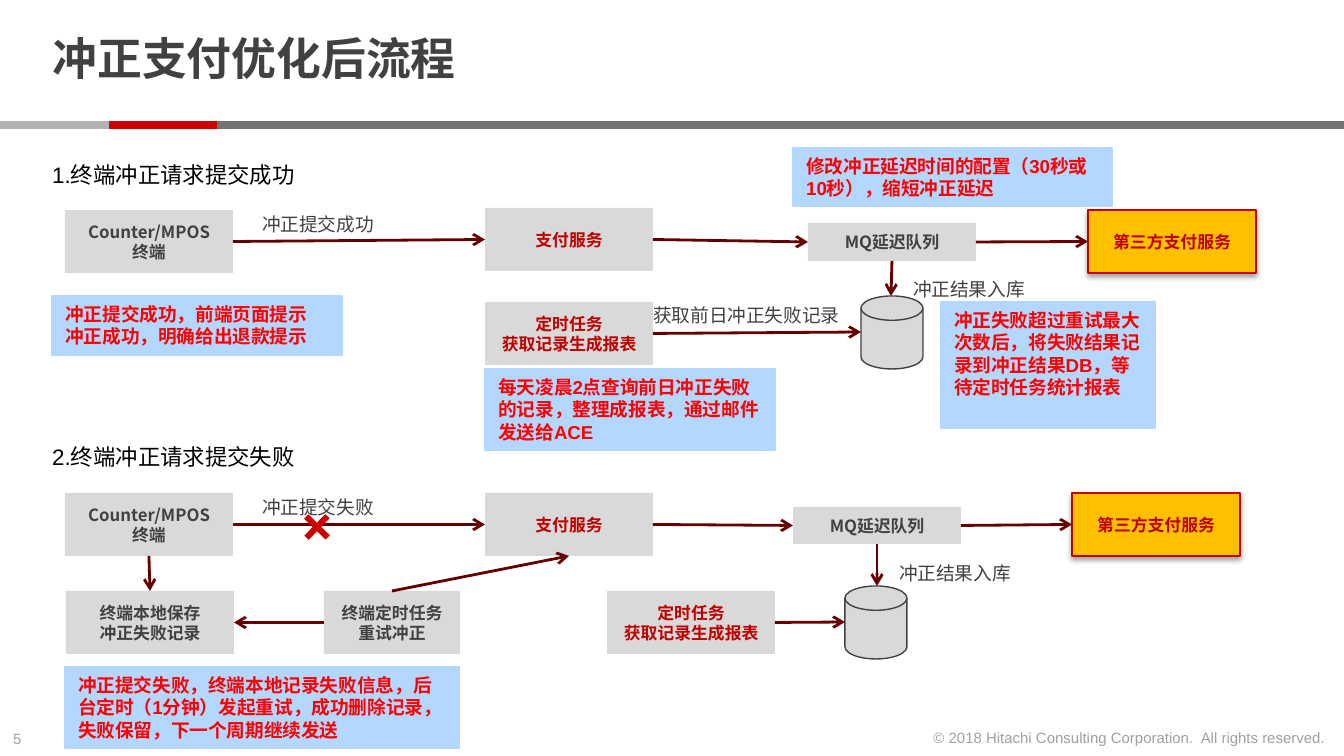
from lxml import etree
from pptx import Presentation
from pptx.dml.color import RGBColor
from pptx.enum.shapes import MSO_CONNECTOR, MSO_SHAPE
from pptx.enum.text import MSO_ANCHOR, MSO_AUTO_SIZE, PP_ALIGN
from pptx.oxml import parse_xml
from pptx.oxml.ns import nsdecls, qn
from pptx.util import Pt

RECT, DISK, CROSS = MSO_SHAPE.RECTANGLE, MSO_SHAPE.FLOWCHART_MAGNETIC_DISK, MSO_SHAPE.CROSS
STRAIGHT = MSO_CONNECTOR.STRAIGHT
LEFT, CENTER, RIGHT = PP_ALIGN.LEFT, PP_ALIGN.CENTER, PP_ALIGN.RIGHT
TOP, MIDDLE = MSO_ANCHOR.TOP, MSO_ANCHOR.MIDDLE
N, W, S, E = range(4)

THEME = {
    "font": "Arial", "cjk": "Noto Sans CJK SC",
    "ink": "414141", "black": "000000", "muted": "A0A0A0", "accent": "C00000",
    "alert": "FF0000", "red": "CC0000", "edge": "C80000", "arrow": "660000",
    "box": "D9D9D9", "gold": "FFC000", "note": "B3D7FF",
    "bar": "737373", "bar_light": "B3B3B3",
    "title_pt": 24, "heading_pt": 12, "body_pt": 10, "box_pt": 9, "footer_pt": 8,
}

TITLE = "冲正支付优化后流程"
BARS = [(217, 1127, "bar"), (109, 108, "red"), (0, 109, "bar_light")]
HEADINGS = [(141, "1.终端冲正请求提交成功"), (423, "2.终端冲正请求提交失败")]

BOX_W, BOX_H = 168, 63
TERMINAL = ["Counter/MPOS 终端"]
PAYMENT = ["支付服务"]
QUEUE = ["MQ延迟队列"]
PARTNER = ["第三方支付服务"]
REPORT = ["定时任务", "获取记录生成报表"]
BOXES = {
    "terminal1": (65, 210, BOX_W, BOX_H, TERMINAL, "ink"),
    "payment1": (485, 208, BOX_W, BOX_H, PAYMENT, "accent"),
    "queue1": (808, 223, BOX_W, 38, QUEUE, "ink"),
    "partner1": (1088, 210, BOX_W, BOX_H, PARTNER, "accent"),
    "report1": (485, 302, BOX_W, BOX_H, REPORT, "accent"),
    "terminal2": (65, 493, BOX_W, BOX_H, TERMINAL, "ink"),
    "payment2": (485, 493, BOX_W, BOX_H, PAYMENT, "accent"),
    "queue2": (793, 507, BOX_W, 37, QUEUE, "ink"),
    "partner2": (1072, 493, BOX_W, BOX_H, PARTNER, "accent"),
    "saved2": (66, 591, BOX_W, BOX_H, ["终端本地保存", "冲正失败记录"], "ink"),
    "retry2": (324, 591, 136, BOX_H, ["终端定时任务", "重试冲正"], "ink"),
    "report2": (607, 591, BOX_W, BOX_H, REPORT, "accent"),
}
DATABASES = [(861, 296), (845, 586)]
FLOWS = [
    ("terminal1", E, "payment1", W), ("payment1", E, "queue1", W),
    ("queue1", E, "partner1", W),
    ("terminal2", E, "payment2", W), ("payment2", E, "queue2", W),
    ("queue2", E, "partner2", W), ("terminal2", S, "saved2", N),
    ("retry2", W, "saved2", E), ("retry2", N, "payment2", S),
]
STORES = [
    ("queue1", S, 891, 296), ("report1", E, 861, 332),
    ("queue2", S, 877, 586), ("report2", E, 845, 622),
]
LABELS = [
    (249, 206, 160, "冲正提交成功"), (900, 271, 145, "冲正结果入库"),
    (640, 297, 224, "获取前日冲正失败记录"),
    (249, 489, 145, "冲正提交失败"), (886, 555, 145, "冲正结果入库"),
]
NOTES = [
    (52, 296, 290, 59, ["冲正提交成功，前端页面提示", "冲正成功，明确给出退款提示"]),
    (793, 148, 319, 58, ["修改冲正延迟时间的配置（30秒或10秒），缩短冲正延迟"]),
    (485, 369, 290, 81, ["每天凌晨2点查询前日冲正失败的记录，整理成报表，通过邮件发送给ACE"]),
    (65, 667, 394, 81, ["冲正提交失败，终端本地记录失败信息，后台定时（1分钟）发起重试，"
                        "成功删除记录，失败保留，下一个周期继续发送"]),
    (941, 302, 214, 126, ["冲正失败超过重试最大次数后，将失败结果记录到冲正结果DB，"
                          "等待定时任务统计报表"]),
]
FOOTERS = [
    (0, 723, 46, LEFT, "5"),
    (914, 722, 425, RIGHT, "© 2018 Hitachi Consulting Corporation.  All rights reserved."),
]


def px(*values):
    return [round(v * 914400 / 134.4) for v in values]


def color(name):
    return RGBColor.from_string(THEME[name])


def write(sp, lines, size="body_pt", ink="ink", bold=False, font="font",
          align=LEFT, anchor=TOP, spacing=None, wrap=True):
    tf = sp.text_frame
    tf.word_wrap, tf.auto_size, tf.vertical_anchor = wrap, MSO_AUTO_SIZE.NONE, anchor
    for i, line in enumerate(lines):
        p = tf.add_paragraph() if i else tf.paragraphs[0]
        p.alignment, p.line_spacing = align, spacing
        r = p.add_run()
        r.text = line
        r.font.size, r.font.bold, r.font.name = Pt(THEME[size]), bold, THEME[font]
        r.font.color.rgb = color(ink)
        ea = etree.SubElement(r.font._element, qn("a:ea"))
        ea.set("typeface", THEME["cjk"])


def add_shape(kind, x, y, w, h, fill, line=None):
    sp = slide.shapes.add_shape(kind, *px(x, y, w, h))
    sp.shadow.inherit = False
    sp.fill.solid()
    sp.fill.fore_color.rgb = color(fill)
    if line:
        sp.line.color.rgb, sp.line.width = color(line), Pt(0.75)
    else:
        sp.line.fill.background()
    return sp


def add_text(x, y, w, h, text, **style):
    write(slide.shapes.add_textbox(*px(x, y, w, h)), [text], **style)


def add_arrow(source, side, x=0, y=0):
    cn = slide.shapes.add_connector(STRAIGHT, *px(x, y, x, y))
    cn.begin_connect(boxes[source], side)
    cn.line.color.rgb, cn.line.width = color("arrow"), Pt(1.5)
    etree.SubElement(cn.line._get_or_add_ln(), qn("a:tailEnd")).set("type", "arrow")
    etree.SubElement(cn._element.spPr, qn("a:effectLst"))
    return cn


def add_shadow(sp):
    sp._element.spPr.find(qn("a:effectLst")).append(parse_xml(
        f'<a:outerShdw {nsdecls("a")} blurRad="{Pt(3.1)}" dist="{Pt(1.6)}" dir="5400000">'
        f'<a:srgbClr val="{THEME["black"]}"><a:alpha val="38000"/></a:srgbClr></a:outerShdw>'))


prs = Presentation()
prs.slide_width, prs.slide_height = px(1344, 756)
slide = prs.slides.add_slide(prs.slide_layouts[5])

for x, w, fill in BARS:
    add_shape(RECT, x, 121, w, 8, fill)
for x, y, w, align, text in FOOTERS:
    add_text(x, y, w, 32, text, size="footer_pt", ink="muted", align=align, wrap=False)

title = slide.shapes.title
title.left, title.top, title.width, title.height = px(39, 8, 1036, 108)
title.text_frame.margin_top = title.text_frame.margin_bottom = 0
write(title, [TITLE], size="title_pt", bold=True, anchor=MIDDLE, spacing=0.85)

for y, text in HEADINGS:
    add_text(39, y, 1160, 54, text, size="heading_pt", ink="black", spacing=1.5)

boxes = {}
for name, (x, y, w, h, lines, ink) in BOXES.items():
    partner = lines is PARTNER
    sp = add_shape(RECT, x, y, w, h, "gold" if partner else "box", "edge" if partner else None)
    if partner:
        add_shadow(sp)
    write(sp, lines, size="box_pt", ink=ink, bold=True, font="cjk", align=CENTER, anchor=MIDDLE)
    boxes[name] = sp

for x, y in DATABASES:
    add_shape(DISK, x, y, 62, 73, "box", "ink")
for source, side, target, target_side in FLOWS:
    add_arrow(source, side).end_connect(boxes[target], target_side)
for store in STORES:
    add_arrow(*store)

for x, y, w, text in LABELS:
    add_text(x, y, w, 36, text)
for x, y, w, h, lines in NOTES:
    write(add_shape(RECT, x, y, w, h, "note", "note"), lines, ink="alert", bold=True)

cross = add_shape(CROSS, 302, 512, 30, 30, "red")
cross.adjustments[0] = 0.4
cross.rotation = 314.2

prs.save("out.pptx")
